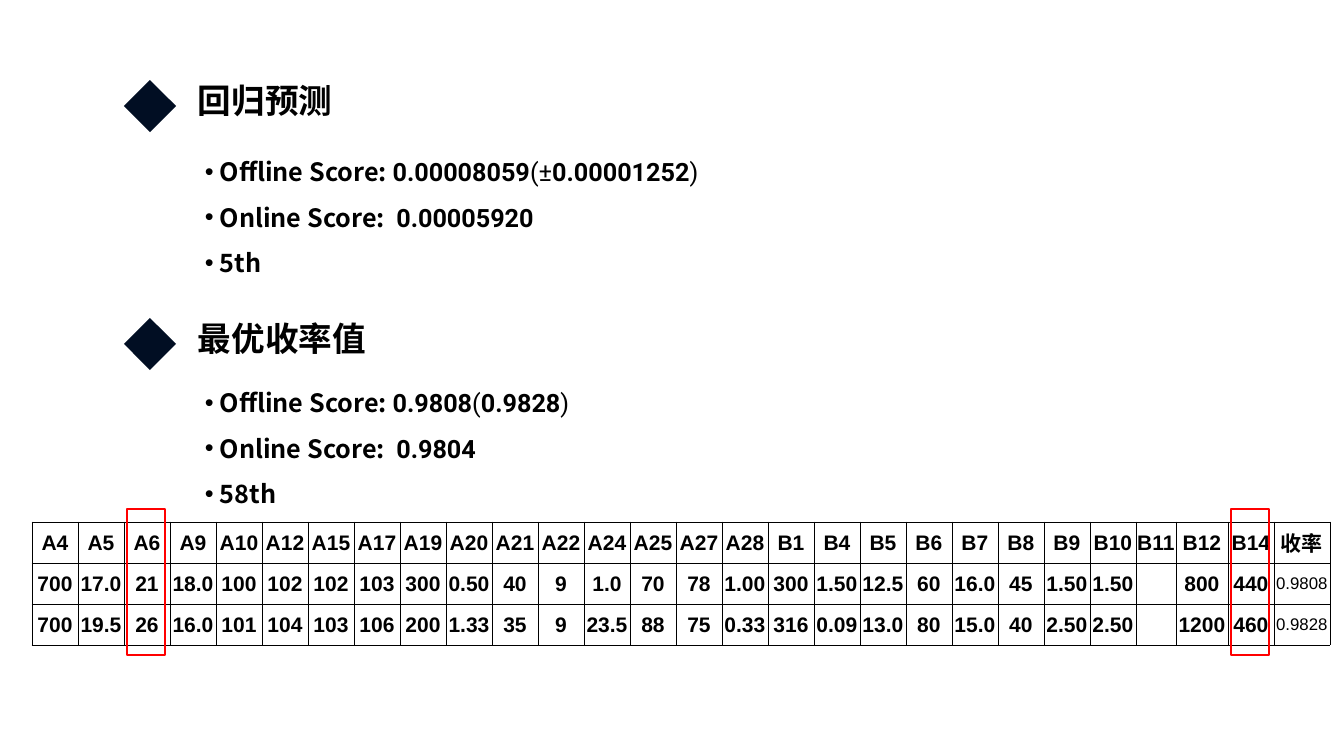
from dataclasses import dataclass

from lxml.etree import SubElement
from pptx import Presentation
from pptx.dml.color import RGBColor
from pptx.enum.shapes import MSO_SHAPE
from pptx.enum.text import MSO_ANCHOR, PP_ALIGN
from pptx.oxml.ns import qn
from pptx.slide import Slide
from pptx.table import _Cell
from pptx.text.text import Font, _Paragraph
from pptx.util import Emu, Pt

COLORS = {"navy": "010E23", "black": "000000", "red": "FF0000"}
LABEL_FONT, NUMBER_FONT, TABLE_FONT = "Noto Sans CJK SC", "Roboto", "Arial"
TABLE_LEFT, TABLE_TOP, ROW_HEIGHT = 32, 522, 41
COLUMN_WIDTHS = [46] * 24 + [40, 52, 46, 56]
TABLE_ROWS = [
    "A4 A5 A6 A9 A10 A12 A15 A17 A19 A20 A21 A22 A24 A25 A27 A28 "
    "B1 B4 B5 B6 B7 B8 B9 B10 B11 B12 B14 收率",
    "700 17.0 21 18.0 100 102 102 103 300 0.50 40 9 1.0 70 78 1.00 "
    "300 1.50 12.5 60 16.0 45 1.50 1.50 - 800 440 0.9808",
    "700 19.5 26 16.0 101 104 103 106 200 1.33 35 9 23.5 88 75 0.33 "
    "316 0.09 13.0 80 15.0 40 2.50 2.50 - 1200 460 0.9828",
]


@dataclass(frozen=True)
class Piece:
    text: str
    font: str = NUMBER_FONT
    bold: bool = True


@dataclass(frozen=True)
class Section:
    title: str
    diamond_top: int
    title_width: int
    body_top: int
    bullets: list[list[Piece]]


@dataclass(frozen=True)
class Highlight:
    left: int
    top: int


SECTIONS = [
    Section("最优收率值", 318, 345, 370, [
        [Piece(" Offline Score: ", LABEL_FONT), Piece("0.9808"),
         Piece("(", bold=False), Piece("0.9828"), Piece(")", bold=False)],
        [Piece(" Online Score:  ", LABEL_FONT), Piece("0.9804")],
        [Piece(" 58th", LABEL_FONT)],
    ]),
    Section("回归预测", 80, 322, 139, [
        [Piece(" Offline Score: ", LABEL_FONT), Piece("0.00008059"),
         Piece("(±", bold=False), Piece("0.00001252"), Piece(")", bold=False)],
        [Piece(" Online Score:  ", LABEL_FONT), Piece("0.00005920")],
        [Piece(" 5th", LABEL_FONT)],
    ]),
]
HIGHLIGHTS = [Highlight(127, 509), Highlight(1231, 509)]


def px(pixels: int) -> Emu:
    """Turn pixels into EMU."""
    return Emu(round(pixels * 914400 / 50.4))


def color(name: str) -> RGBColor:
    """Look up a named colour."""
    return RGBColor.from_string(COLORS[name])


def style_font(font: Font, size: int) -> None:
    """Set the size and black colour of a font."""
    font.size = Pt(size)
    font.color.rgb = color("black")


def add_bullet(paragraph: _Paragraph, pieces: list[Piece]) -> None:
    """Fill a paragraph as one bulleted line."""
    properties = paragraph._p.get_or_add_pPr()
    properties.set("marL", str(px(9)))
    properties.set("indent", str(-px(9)))
    SubElement(properties, qn("a:buFont"), typeface="Arial")
    SubElement(properties, qn("a:buChar"), char="•")
    paragraph.line_spacing = 1.5
    style_font(paragraph.font, 36)
    for piece in pieces:
        run = paragraph.add_run()
        run.text = piece.text
        run.font.name = piece.font
        run.font.bold = piece.bold


def add_section(slide: Slide, section: Section) -> None:
    """Draw a diamond, its heading and its bullets."""
    diamond = slide.shapes.add_shape(
        MSO_SHAPE.DIAMOND, px(124), px(section.diamond_top), px(52), px(52))
    diamond.shadow.inherit = False
    diamond.fill.solid()
    diamond.fill.fore_color.rgb = color("navy")
    diamond.line.fill.background()
    heading = slide.shapes.add_textbox(
        px(193), px(section.diamond_top + 7), px(section.title_width), px(36))
    heading.text_frame.word_wrap = True
    heading.text_frame.vertical_anchor = MSO_ANCHOR.BOTTOM
    paragraph = heading.text_frame.paragraphs[0]
    paragraph.text = section.title
    style_font(paragraph.font, 48)
    paragraph.font.name = "Arial"
    paragraph.font.bold = True
    body = slide.shapes.add_textbox(px(200), px(section.body_top), px(535), px(145))
    frame = body.text_frame
    frame.word_wrap = True
    for index, pieces in enumerate(section.bullets):
        add_bullet(frame.add_paragraph() if index else frame.paragraphs[0], pieces)


def fill_cell(cell: _Cell, text: str) -> None:
    """Write one bordered, centred table cell."""
    cell.margin_left = cell.margin_right = cell.margin_top = Pt(0.75)
    cell.margin_bottom = 0
    cell.vertical_anchor = MSO_ANCHOR.MIDDLE
    properties = cell._tc.get_or_add_tcPr()
    for side in ("lnL", "lnR", "lnT", "lnB"):
        border = SubElement(properties, qn(f"a:{side}"), w=str(Pt(1)))
        solid = SubElement(border, qn("a:solidFill"))
        SubElement(solid, qn("a:srgbClr"), val=COLORS["black"])
    cell.fill.background()
    if text == "-":
        return
    is_yield = text.startswith("0.98")
    paragraph = cell.text_frame.paragraphs[0]
    paragraph.text = text
    paragraph.alignment = PP_ALIGN.CENTER
    style_font(paragraph.font, 24 if is_yield else 30)
    paragraph.font.name = TABLE_FONT
    paragraph.font.bold = not is_yield


def add_parameter_table(slide: Slide) -> None:
    """Draw the table of parameters and yields."""
    table = slide.shapes.add_table(
        len(TABLE_ROWS), len(COLUMN_WIDTHS), px(TABLE_LEFT), px(TABLE_TOP),
        px(sum(COLUMN_WIDTHS)), px(ROW_HEIGHT * len(TABLE_ROWS))).table
    table.first_row = table.horz_banding = False
    for column, width in zip(table.columns, COLUMN_WIDTHS):
        column.width = px(width)
    for row, texts in zip(table.rows, TABLE_ROWS):
        row.height = px(ROW_HEIGHT)
        for cell, text in zip(row.cells, texts.split()):
            fill_cell(cell, text)


def add_highlight(slide: Slide, highlight: Highlight) -> None:
    """Frame one table column in red."""
    frame = slide.shapes.add_shape(
        MSO_SHAPE.RECTANGLE, px(highlight.left), px(highlight.top), px(38), px(146))
    frame.shadow.inherit = False
    frame.fill.background()
    frame.line.color.rgb = color("red")
    frame.line.width = Pt(3)


def main() -> None:
    """Build and save the slide."""
    presentation = Presentation()
    presentation.slide_width = px(1344)
    presentation.slide_height = px(756)
    slide = presentation.slides.add_slide(presentation.slide_layouts[6])
    for section in SECTIONS:
        add_section(slide, section)
    add_parameter_table(slide)
    for highlight in HIGHLIGHTS:
        add_highlight(slide, highlight)
    presentation.save("out.pptx")


main()
